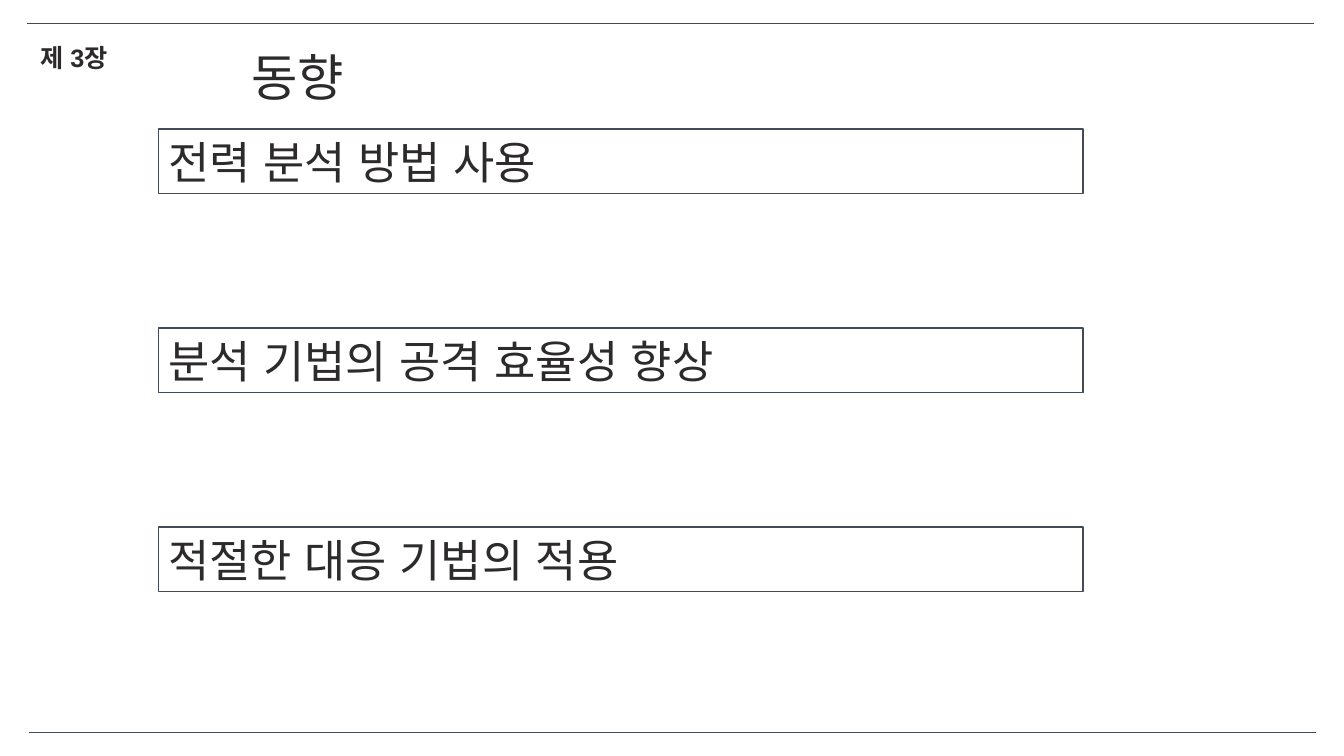
from pptx import Presentation
from pptx.dml.color import RGBColor
from pptx.enum import shapes, text
from pptx.oxml.ns import qn
from pptx.util import Inches, Pt

INK = RGBColor(0x2C, 0x2A, 0x2A)
SLATE = RGBColor(0x43, 0x4B, 0x56)
WHITE = RGBColor(0xFF, 0xFF, 0xFF)
FONT = "Arial"

TRENDS = ["전력 분석 방법 사용", "분석 기법의 공격 효율성 향상", "적절한 대응 기법의 적용"]
FIRST_TREND_TOP = 1.28
TREND_STEP = 1.975


def write(shape, words, size, bold=False):
    """Put one left-aligned line of text into a shape."""
    frame = shape.text_frame
    frame.text = words
    frame.word_wrap = True
    frame.auto_size = text.MSO_AUTO_SIZE.NONE
    frame.vertical_anchor = text.MSO_ANCHOR.MIDDLE
    frame.margin_top = frame.margin_bottom = 0
    para = frame.paragraphs[0]
    para.alignment = text.PP_ALIGN.LEFT
    para.line_spacing = 1.0
    font = para.runs[0].font
    font.name, font.size, font.bold = FONT, Pt(size), bold
    font.color.rgb = INK
    # Korean characters take the East Asian typeface
    east_asian = para.runs[0]._r.get_or_add_rPr().makeelement(qn("a:ea"), {"typeface": FONT})
    font._element.find(qn("a:latin")).addnext(east_asian)


def add_rule(page, left, top, width=12.76):
    rule = page.shapes.add_connector(
        shapes.MSO_CONNECTOR.STRAIGHT,
        Inches(left), Inches(top), Inches(left + width), Inches(top))
    rule.line.color.rgb = SLATE
    rule.line.width = Pt(0.5)
    properties = rule._element.spPr
    properties.append(properties.makeelement(qn("a:effectLst"), {}))


def add_chapter(page, words):
    box = page.shapes.add_textbox(Inches(0.3), Inches(0.37), Inches(1.27), Inches(0.4))
    write(box, words, 18, bold=True)


def set_title(page, words):
    title = page.shapes.title
    title.left, title.top = Inches(2.39), Inches(0.4)
    title.width, title.height = Inches(4.27), Inches(0.71)
    write(title, words, 36)


def add_trend(page, top, words):
    box = page.shapes.add_shape(
        shapes.MSO_SHAPE.RECTANGLE,
        Inches(1.57), Inches(top), Inches(9.17), Inches(0.64))
    box.shadow.inherit = False
    box.fill.solid()
    box.fill.fore_color.rgb = WHITE
    box.line.color.rgb = SLATE
    box.line.width = Pt(1)
    write(box, words, 32)


def main():
    deck = Presentation()
    deck.slide_width, deck.slide_height = Inches(13.33), Inches(7.5)
    page = deck.slides.add_slide(deck.slide_layouts.get_by_name("Title Only"))

    # Rules at the top and bottom of the page
    add_rule(page, 0.27, 0.23)
    add_rule(page, 0.29, 7.27)

    # Heading
    add_chapter(page, "제 3장")
    set_title(page, "동향")

    # Trends, evenly spaced down the page
    for index, words in enumerate(TRENDS):
        add_trend(page, FIRST_TREND_TOP + index * TREND_STEP, words)

    deck.save("out.pptx")


main()
